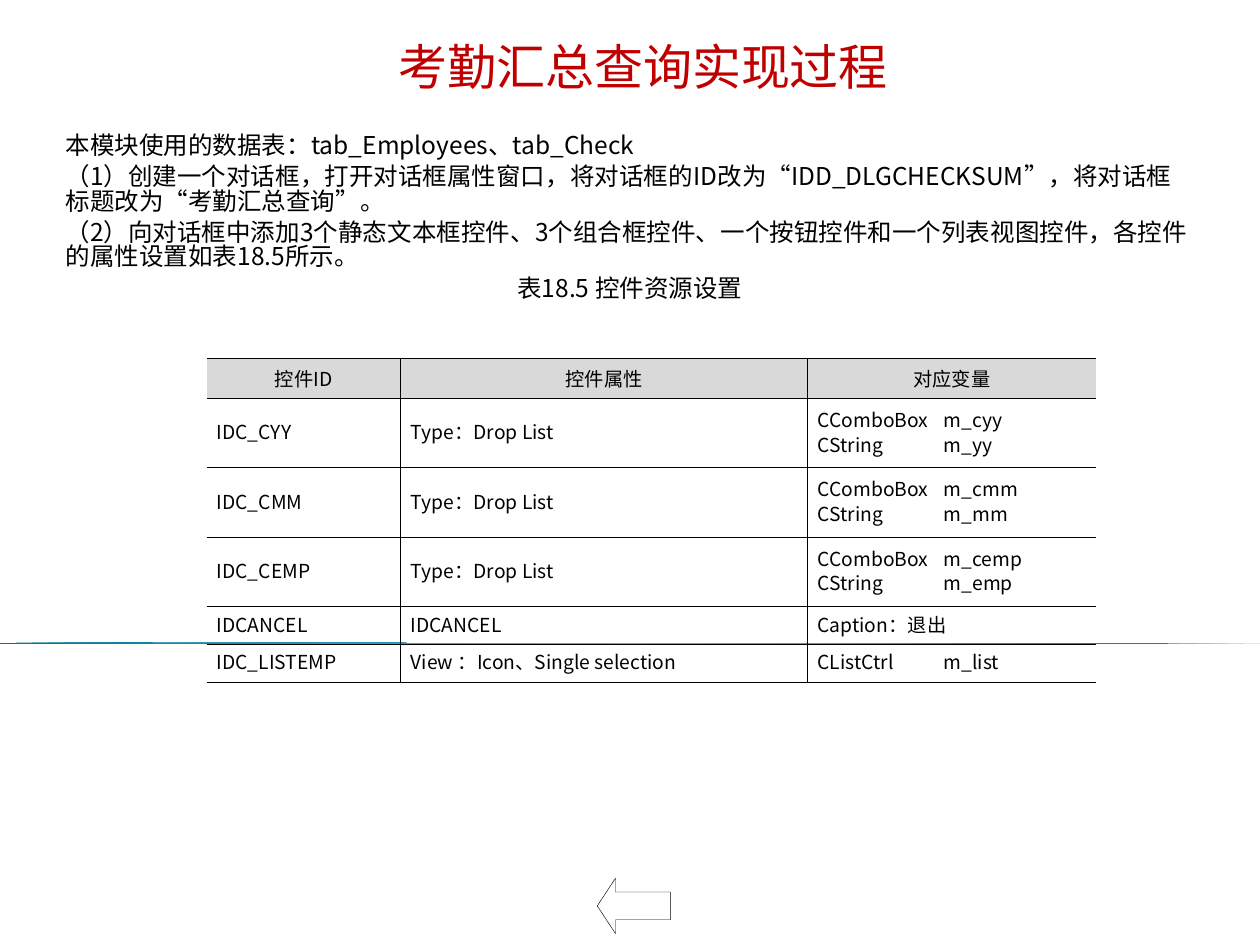
from lxml.etree import SubElement
from pptx import Presentation
from pptx.dml.color import RGBColor
from pptx.enum.shapes import MSO_SHAPE as Shape
from pptx.enum.text import MSO_ANCHOR as Anchor, MSO_AUTO_SIZE as AutoSize, PP_ALIGN as Align
from pptx.oxml import parse_xml
from pptx.oxml.ns import nsdecls, qn
from pptx.util import Inches, Pt

FONT = "Noto Sans CJK SC"
BLACK = "000000"

INTRODUCTION = [
    "本模块使用的数据表：tab_Employees、tab_Check",
    "（1）创建一个对话框，打开对话框属性窗口，将对话框的ID改为“IDD_DLGCHECKSUM”，将对话框标题改为“考勤汇总查询”。",
    "（2）向对话框中添加3个静态文本框控件、3个组合框控件、一个按钮控件和一个列表视图控件，各控件的属性设置如表18.5所示。",
]
CAPTION = "表18.5 控件资源设置"
HEADER = ("控件ID", "控件属性", "对应变量")
COMBO_BOXES = [
    (f"IDC_C{name.upper()}", "Type：Drop List", f"CComboBox\tm_c{name}\nCString\tm_{name}")
    for name in ("yy", "mm", "emp")
]
CONTROLS = [
    HEADER,
    *COMBO_BOXES,
    ("IDCANCEL", "IDCANCEL", "Caption：退出"),
    ("IDC_LISTEMP", "View ：Icon、Single selection", "CListCtrl\tm_list"),
]


def color(value):
    return RGBColor.from_string(value)


def place(shape, box):
    shape.left, shape.top, shape.width, shape.height = (Inches(length) for length in box)


def add_run(paragraph, text, size, font_color=BLACK):
    run = paragraph.add_run()
    run.text = text
    run.font.size = Pt(size)
    run.font.bold = False
    run.font.color.rgb = color(font_color)
    run.font.name = FONT
    SubElement(run.font._element, qn("a:ea")).set("typeface", FONT)


def paragraph_at(frame, index):
    return frame.paragraphs[0] if index == 0 else frame.add_paragraph()


def add_divider(slide, box):
    divider = slide.shapes.add_shape(Shape.RIGHT_TRIANGLE, *(Inches(length) for length in box))
    divider.shadow.inherit = False
    divider.line.fill.background()
    divider.fill.gradient()
    divider.fill.gradient_angle = 310
    stops = divider.fill._fill._gradFill.find(qn("a:gsLst"))
    for stop in list(stops):
        stops.remove(stop)
    for position, value in ((0, "007593"), (50, "48BAE0"), (100, "007593")):
        stops.append(parse_xml(
            f'<a:gs {nsdecls("a")} pos="{position * 1000}"><a:srgbClr val="{value}"/></a:gs>'
        ))


def fill_title(title, box):
    place(title, box)
    frame = title.text_frame
    frame.auto_size = AutoSize.NONE
    frame.vertical_anchor = Anchor.MIDDLE
    frame.paragraphs[0].alignment = Align.CENTER
    add_run(frame.paragraphs[0], "考勤汇总查询实现过程", 28, "C00000")


def fill_body(body, box):
    place(body, box)
    frame = body.text_frame
    frame.auto_size = AutoSize.NONE
    frame.vertical_anchor = Anchor.TOP
    frame.margin_left = frame.margin_right = Inches(0.05)
    frame.margin_top = frame.margin_bottom = Inches(0.05)
    for index, text in enumerate([*INTRODUCTION, CAPTION]):
        paragraph = paragraph_at(frame, index)
        paragraph.alignment = Align.CENTER if text == CAPTION else Align.LEFT
        paragraph.line_spacing = 0.83
        paragraph.space_before = Pt(4 if index else 0)
        add_run(paragraph, text, 14)


def set_borders(cell, visible_sides):
    properties = cell._tc.get_or_add_tcPr()
    for side in "LRTB":
        border = SubElement(properties, qn(f"a:ln{side}"), w=str(Pt(0.45)))
        if side in visible_sides:
            fill = SubElement(border, qn("a:solidFill"))
            SubElement(fill, qn("a:srgbClr"), val=BLACK)
        else:
            SubElement(border, qn("a:noFill"))


def fill_cell(cell, text, is_header, visible_sides):
    set_borders(cell, visible_sides)
    if is_header:
        cell.fill.solid()
        cell.fill.fore_color.rgb = color("D9D9D9")
    else:
        cell.fill.background()
    cell.vertical_anchor = Anchor.MIDDLE
    cell.margin_left = cell.margin_right = Inches(0.08)
    cell.margin_top = cell.margin_bottom = Inches(0.05)
    for index, line in enumerate(text.split("\n")):
        paragraph = paragraph_at(cell.text_frame, index)
        paragraph.alignment = Align.CENTER if is_header else Align.LEFT
        if not is_header:
            paragraph.line_spacing = Pt(14)
        add_run(paragraph, line, 11)


def add_control_table(slide, box):
    frame = slide.shapes.add_table(
        len(CONTROLS), len(HEADER), *(Inches(length) for length in box)
    )
    table = frame.table
    table.first_row = table.horz_banding = False
    for column, width in zip(table.columns, (1.54, 3.23, 2.29)):
        column.width = Inches(width)
    for row, height in zip(table.rows, (0.3, 0.55, 0.55, 0.55, 0.3, 0.3)):
        row.height = Inches(height)
    for row_index, row in enumerate(CONTROLS):
        for column_index, (text, sides) in enumerate(zip(row, ("RTB", "LRTB", "LTB"))):
            fill_cell(table.cell(row_index, column_index), text, row_index == 0, sides)


def add_back_arrow(slide, box):
    arrow = slide.shapes.add_shape(Shape.LEFT_ARROW, *(Inches(length) for length in box))
    arrow.shadow.inherit = False
    arrow.adjustments[0] = 0.5
    arrow.adjustments[1] = 0.33
    arrow.fill.background()
    arrow.line.color.rgb = color(BLACK)
    arrow.line.width = Pt(0.25)


def main():
    presentation = Presentation()
    presentation.slide_width, presentation.slide_height = Inches(10), Inches(7.5)
    slide = presentation.slides.add_slide(presentation.slide_layouts[0])
    add_divider(slide, (0, 5.1, 10, 0.01))
    fill_title(slide.shapes.title, (2.16, 0.23, 5.89, 0.58))
    fill_body(slide.placeholders[1], (0.47, 1.02, 9.06, 6.02))
    add_control_table(slide, (1.64, 2.84, 7.06, 2.55))
    add_back_arrow(slide, (4.74, 6.97, 0.58, 0.44))
    presentation.save("out.pptx")


if __name__ == "__main__":
    main()
